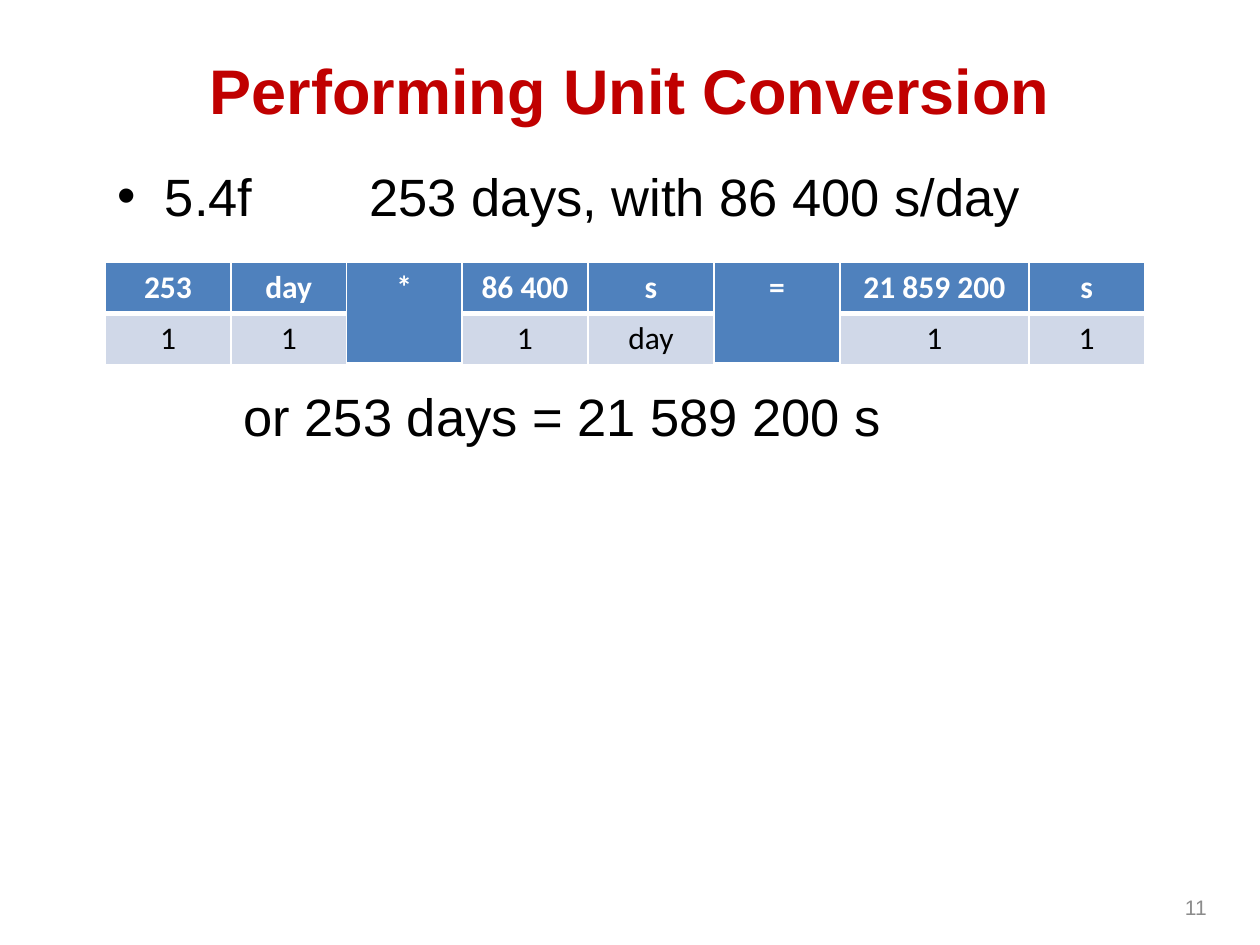
from lxml import etree
from pptx import Presentation
from pptx.dml.color import RGBColor
from pptx.enum.text import MSO_ANCHOR, PP_ALIGN
from pptx.oxml.ns import qn
from pptx.util import Inches, Pt

CENTER, RIGHT = PP_ALIGN.CENTER, PP_ALIGN.RIGHT
MIDDLE = MSO_ANCHOR.MIDDLE
TITLE_AND_CONTENT = 1

HEADINGS = ["253", "day", "*", "86 400", "s", "=", "21 859 200", "s"]
DENOMINATORS = ["1", "1", "", "1", "day", "", "1", "1"]
COLUMN_SPANS = [12, 11, 11, 12, 12, 12, 18, 11]
ROW_SPAN = 4.87


def grid(*spans):
    """Lengths for spans counted in grid cells of a twelfth of an inch."""
    return [Inches(span / 12) for span in spans]


def color(hex_string):
    return RGBColor.from_string(hex_string)


def write(paragraph, text, font="Arial", size=30, fill="000000", bold=False, align=None):
    run = paragraph.add_run()
    run.text = text
    run.font.name = font
    run.font.size = Pt(size)
    run.font.bold = bold
    run.font.color.rgb = color(fill)
    paragraph.alignment = align


class ConversionSlide:
    """Holds the style and the slide being filled."""

    title_color = "C00000"
    number_color = "8C8C8C"
    header_fill = "4F81BD"
    row_fill = "D0D8E8"
    border_color = "FFFFFF"
    tab_distance = Inches(1)

    def __init__(self, presentation):
        layout = presentation.slide_layouts[TITLE_AND_CONTENT]
        self.slide = presentation.slides.add_slide(layout)

    def place(self, shape, *spans):
        shape.left, shape.top, shape.width, shape.height = grid(*spans)

    def title(self, text, *spans):
        shape = self.slide.shapes.title
        self.place(shape, *spans)
        shape.text_frame.vertical_anchor = MIDDLE
        write(shape.text_frame.paragraphs[0], text, size=36,
              fill=self.title_color, bold=True, align=CENTER)

    def body(self, bullet, result, gap, *spans):
        """A bulleted line, and an unbulleted result after a gap in points."""
        shape = self.slide.placeholders[1]
        self.place(shape, *spans)
        frame = shape.text_frame
        write(frame.paragraphs[0], bullet)
        paragraph = frame.add_paragraph()
        write(paragraph, result)
        paragraph.space_before = Pt(gap)
        properties = paragraph._p.get_or_add_pPr()
        properties.set("marL", "0")
        properties.set("indent", "0")
        etree.SubElement(properties, qn("a:buNone"))
        for line in frame.paragraphs:
            line._p.get_or_add_pPr().set("defTabSz", str(self.tab_distance))

    def number(self, text, *spans):
        frame = self.slide.shapes.add_textbox(*grid(*spans)).text_frame
        frame.word_wrap = True
        frame.vertical_anchor = MIDDLE
        write(frame.paragraphs[0], text, size=12, fill=self.number_color, align=RIGHT)

    def borders(self, cell, **widths):
        properties = cell._tc.get_or_add_tcPr()
        for side in "LRTB":
            line = etree.SubElement(properties, qn(f"a:ln{side}"),
                                    w=str(Pt(widths.get(side, 1))))
            fill = etree.SubElement(line, qn("a:solidFill"))
            etree.SubElement(fill, qn("a:srgbClr"), val=self.border_color)

    def fraction_table(self, left, top):
        """Numerators over denominators, with operators spanning both rows."""
        rows = [HEADINGS, DENOMINATORS]
        frame = self.slide.shapes.add_table(
            len(rows), len(COLUMN_SPANS),
            *grid(left, top, sum(COLUMN_SPANS), ROW_SPAN * len(rows)))
        table = frame.table
        for column, width in zip(table.columns, grid(*COLUMN_SPANS)):
            column.width = width
        for row_index, texts in enumerate(rows):
            header = row_index == 0
            for column_index, text in enumerate(texts):
                cell = table.cell(row_index, column_index)
                self.borders(cell, **({"B": 3} if header else {"T": 3}))
                cell.fill.solid()
                cell.fill.fore_color.rgb = color(
                    self.header_fill if header or not text else self.row_fill)
                if text:
                    write(cell.text_frame.paragraphs[0], text, font="Calibri", size=18,
                          fill="FFFFFF" if header else "000000", bold=header, align=CENTER)
        for column_index, text in enumerate(DENOMINATORS):
            if not text:
                table.cell(0, column_index).merge(table.cell(1, column_index))


def main():
    presentation = Presentation()
    presentation.slide_width, presentation.slide_height = grid(120, 90)
    slide = ConversionSlide(presentation)
    slide.body("5.4f\t253 days, with 86 400 s/day", "\tor 253 days = 21 589 200 s", 90,
               10, 15, 101, 66.8)
    slide.title("Performing Unit Conversion", 6, 1, 108, 15)
    slide.number("11", 100.6, 84, 15.5, 4.7)
    slide.fraction_table(10, 25)
    presentation.save("out.pptx")


if __name__ == "__main__":
    main()
